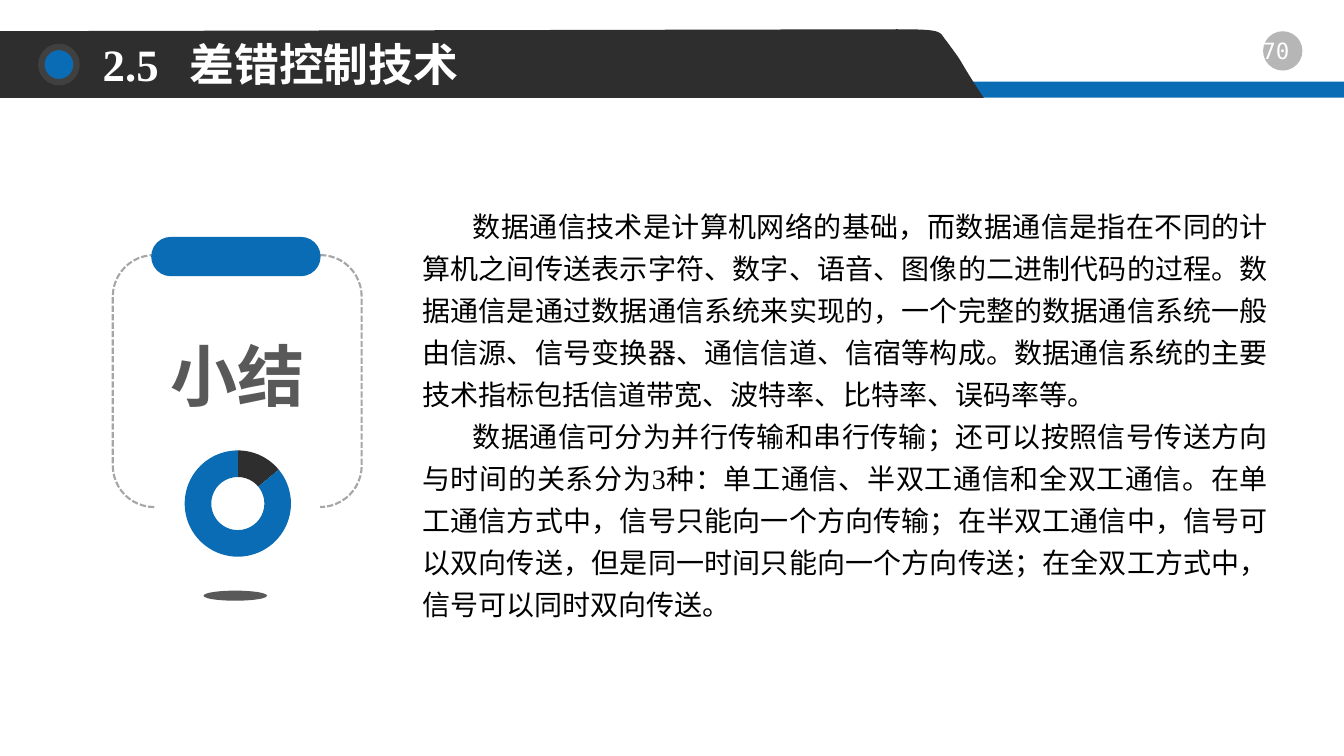
import dataclasses

import lxml.etree
import pptx
import pptx.chart.data
import pptx.dml.color
import pptx.enum.chart
import pptx.enum.dml
import pptx.enum.shapes
import pptx.enum.text
import pptx.oxml.ns
import pptx.util

Pt = pptx.util.Pt
SHAPE = pptx.enum.shapes.MSO_SHAPE
ALIGN = pptx.enum.text.PP_ALIGN
ANCHOR = pptx.enum.text.MSO_ANCHOR
qn = pptx.oxml.ns.qn


@dataclasses.dataclass(frozen=True)
class Theme:
    blue: str = "0A6CB5"
    dark: str = "2E2E2E"
    ring: str = "404040"
    gray: str = "595959"
    dash: str = "A6A6A6"
    white: str = "FFFFFF"
    black: str = "000000"
    serif: str = "Times New Roman"
    mono: str = "DejaVu Sans Mono"
    chinese: str = "Noto Sans CJK SC"
    chart: str = "Calibri"
    title_size: int = 32
    label_size: int = 48
    body_size: int = 20
    number_size: int = 16
    chart_size: int = 10


@dataclasses.dataclass(frozen=True)
class Box:
    left: float
    top: float
    width: float
    height: float

    def inner(self, left, top, width, height):
        return [Pt(value) for value in (self.left + left, self.top + top, width, height)]


THEME = Theme()
BODY = [
    "数据通信技术是计算机网络的基础，而数据通信是指在不同的计算机之间传送表示字符、数字、语音、图像的二进制代码的过程。数据通信是通过数据通信系统来实现的，一个完整的数据通信系统一般由信源、信号变换器、通信信道、信宿等构成。数据通信系统的主要技术指标包括信道带宽、波特率、比特率、误码率等。",
    "数据通信可分为并行传输和串行传输；还可以按照信号传送方向与时间的关系分为3种：单工通信、半双工通信和全双工通信。在单工通信方式中，信号只能向一个方向传输；在半双工通信中，信号可以双向传送，但是同一时间只能向一个方向传送；在全双工方式中，信号可以同时双向传送。",
]


def rgb(color):
    return pptx.dml.color.RGBColor.from_string(color)


def paint(shape, color):
    shape.shadow.inherit = False
    shape.fill.solid()
    shape.fill.fore_color.rgb = rgb(color)
    shape.line.fill.background()


def add_filled(shapes, kind, position, color):
    shape = shapes.add_shape(kind, *position)
    paint(shape, color)
    return shape


def place(shape, position):
    shape.left, shape.top, shape.width, shape.height = position


def set_frame(frame, anchor=ANCHOR.TOP):
    frame.word_wrap = True
    frame.auto_size = pptx.enum.text.MSO_AUTO_SIZE.NONE
    frame.vertical_anchor = anchor


def style(paragraph, alignment, face, size, color, bold=False, line_spacing=1.0, before=0):
    paragraph.alignment = alignment
    paragraph.line_spacing = line_spacing
    paragraph.space_before = Pt(before)
    paragraph.font.name = face
    paragraph.font.size = Pt(size)
    paragraph.font.bold = bold
    paragraph.font.color.rgb = rgb(color)
    latin = paragraph._p.find(".//" + qn("a:latin"))
    east_asian = lxml.etree.Element(qn("a:ea"), typeface=THEME.chinese)
    latin.addnext(east_asian)


def bezier(start, first, second, end, steps=12):
    for step in range(1, steps + 1):
        t = step / steps
        weights = ((1 - t) ** 3, 3 * t * (1 - t) ** 2, 3 * t * t * (1 - t), t ** 3)
        points = (start, first, second, end)
        yield tuple(sum(w * p[axis] for w, p in zip(weights, points)) for axis in (0, 1))


def add_header(slide, box, text, number):
    shapes = slide.shapes
    add_filled(shapes, SHAPE.RECTANGLE, box.inner(0, 37.4, box.width, 11.5), THEME.blue)

    corner, shoulder, tip = (674.6, 6.5), (640.8, 0), (702.7, box.height)
    outline = [
        *bezier(corner, (671, 1.4), (671.8, 0), shoulder),
        (0, 1.4),
        (0, box.height),
        tip,
        *bezier(tip, (681.8, 17.3), (691.9, 29.5), corner),
    ]
    points = [(Pt(box.left + x), Pt(box.top + y)) for x, y in outline]
    builder = shapes.build_freeform(*points[-1], scale=1.0)
    builder.add_line_segments(points[:-1], close=True)
    paint(builder.convert_to_shape(), THEME.dark)

    dot = add_filled(shapes, SHAPE.OVAL, box.inner(29.5, 12.6, 25.2, 25.2), THEME.blue)
    dot.line.color.rgb = rgb(THEME.ring)
    dot.line.width = Pt(4.5)

    badge = add_filled(shapes, SHAPE.OVAL, box.inner(902.2, 1.4, 28.1, 28.1), THEME.dark)
    color = badge._element.spPr.find(qn("a:solidFill"))[0]
    lxml.etree.SubElement(color, qn("a:alpha"), val="35000")

    page = shapes.add_textbox(*box.inner(885.8, 2.1, 51.1, 26.6))
    set_frame(page.text_frame)
    page.text_frame.text = number
    style(page.text_frame.paragraphs[0], ALIGN.CENTER, THEME.mono, THEME.number_size, THEME.white)

    title = shapes.title
    shapes._spTree.append(title._element)
    place(title, box.inner(66.2, 0, 459.4, 54))
    set_frame(title.text_frame, ANCHOR.MIDDLE)
    title.text_frame.text = text
    paragraph = title.text_frame.paragraphs[0]
    style(paragraph, ALIGN.LEFT, THEME.serif, THEME.title_size, THEME.white, True, 0.9, 10)
    tabs = lxml.etree.Element(qn("a:tabLst"))
    lxml.etree.SubElement(tabs, qn("a:tab"), pos=str(Pt(62)), algn="l")
    paragraph._p.pPr.find(qn("a:defRPr")).addprevious(tabs)


def add_ring_chart(shapes, position):
    data = pptx.chart.data.CategoryChartData()
    data.categories = ["1", "2"]
    data.add_series("Series 1", (14, 86))
    kind = pptx.enum.chart.XL_CHART_TYPE.DOUGHNUT
    chart = shapes.add_chart(kind, *position, data).chart
    chart.has_legend = False
    chart.has_title = False
    chart.font.name = THEME.chart
    chart.font.size = Pt(THEME.chart_size)
    chart.font.color.rgb = rgb(THEME.black)
    plot = chart.plots[0]
    plot.vary_by_categories = False
    plot._element.find(qn("c:holeSize")).set("val", "47")
    for index, color in enumerate((THEME.dark, THEME.blue)):
        point = plot.series[0].points[index]
        point.format.fill.solid()
        point.format.fill.fore_color.rgb = rgb(color)
        point.format.line.fill.background()


def add_summary_panel(slide, box, text):
    shapes = slide.shapes.add_group_shape().shapes
    bracket = shapes.add_shape(SHAPE.DOUBLE_BRACKET, *box.inner(0, 13, box.width, 180))
    bracket.shadow.inherit = False
    bracket.fill.background()
    bracket.line.color.rgb = rgb(THEME.dash)
    bracket.line.width = Pt(1.5)
    bracket.line.dash_style = pptx.enum.dml.MSO_LINE.SQUARE_DOT

    cap = add_filled(shapes, SHAPE.ROUNDED_RECTANGLE, box.inner(27.4, 0, 121, 28.1), THEME.blue)
    cap.adjustments[0] = 0.5

    label = shapes.add_textbox(*box.inner(18.7, 37.4, 140.4, 84.2))
    set_frame(label.text_frame)
    label.text_frame.text = text
    style(label.text_frame.paragraphs[0], ALIGN.CENTER, THEME.chinese, THEME.label_size,
          THEME.gray, True, 1.5)

    add_ring_chart(shapes, box.inner(17.3, 142.6, 144, 95.8))
    add_filled(shapes, SHAPE.OVAL, box.inner(64.8, 252.7, 45.4, 7.2), THEME.gray)


def add_body(slide, box, texts):
    body = slide.placeholders[1]
    slide.shapes._spTree.append(body._element)
    place(body, box.inner(0, 0, box.width, box.height))
    set_frame(body.text_frame)
    body.text_frame.text = "\n".join(texts)
    for paragraph in body.text_frame.paragraphs:
        style(paragraph, ALIGN.JUSTIFY, THEME.serif, THEME.body_size, THEME.black,
              line_spacing=1.25)
        properties = paragraph._p.pPr
        properties.set("marL", "0")
        properties.set("indent", str(Pt(36)))
        properties.find(qn("a:defRPr")).addprevious(lxml.etree.Element(qn("a:buNone")))


def main():
    presentation = pptx.Presentation()
    presentation.slide_width = Pt(960)
    presentation.slide_height = Pt(540)
    slide = presentation.slides.add_slide(presentation.slide_layouts[1])
    add_header(slide, Box(0, 20.9, 960, 49), "2.5\t差错控制技术", "70")
    add_summary_panel(slide, Box(80.6, 169.2, 177.8, 260), "小结")
    add_body(slide, Box(294.5, 140.4, 618.5, 310.3), BODY)
    presentation.save("out.pptx")


if __name__ == "__main__":
    main()
